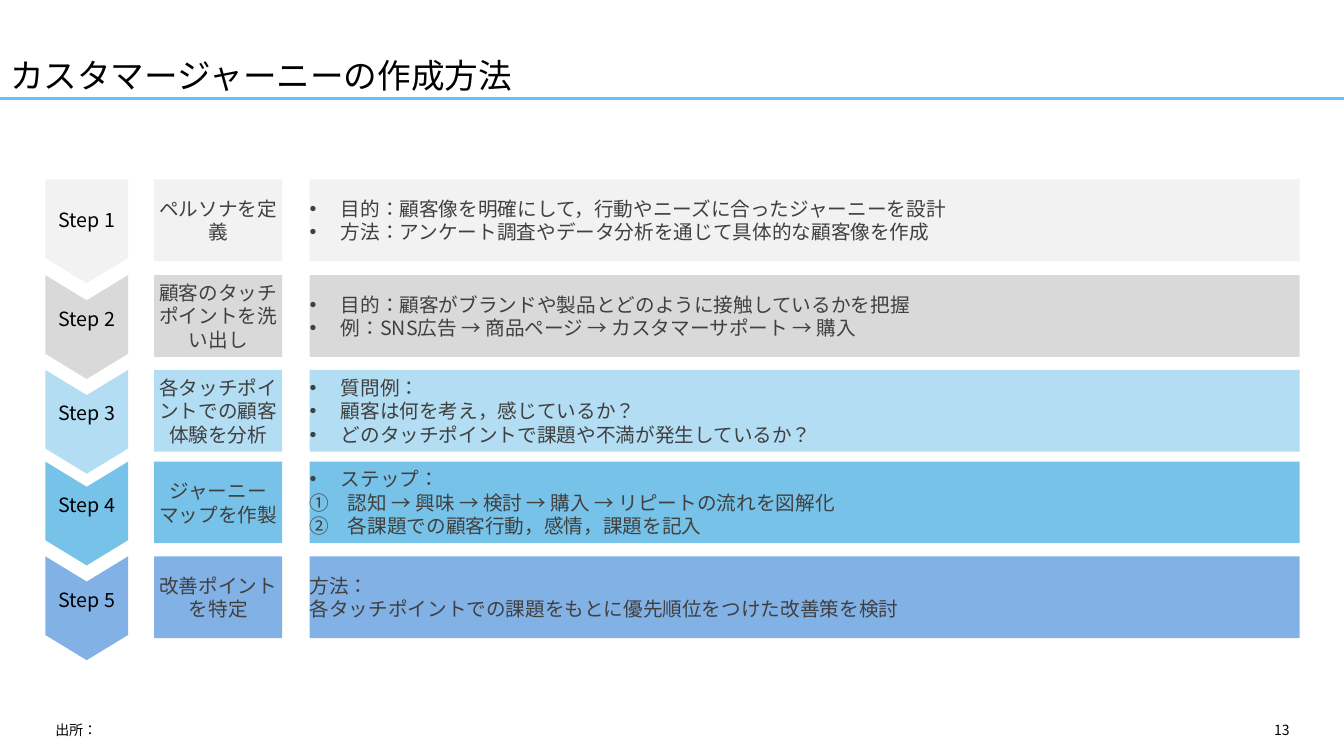
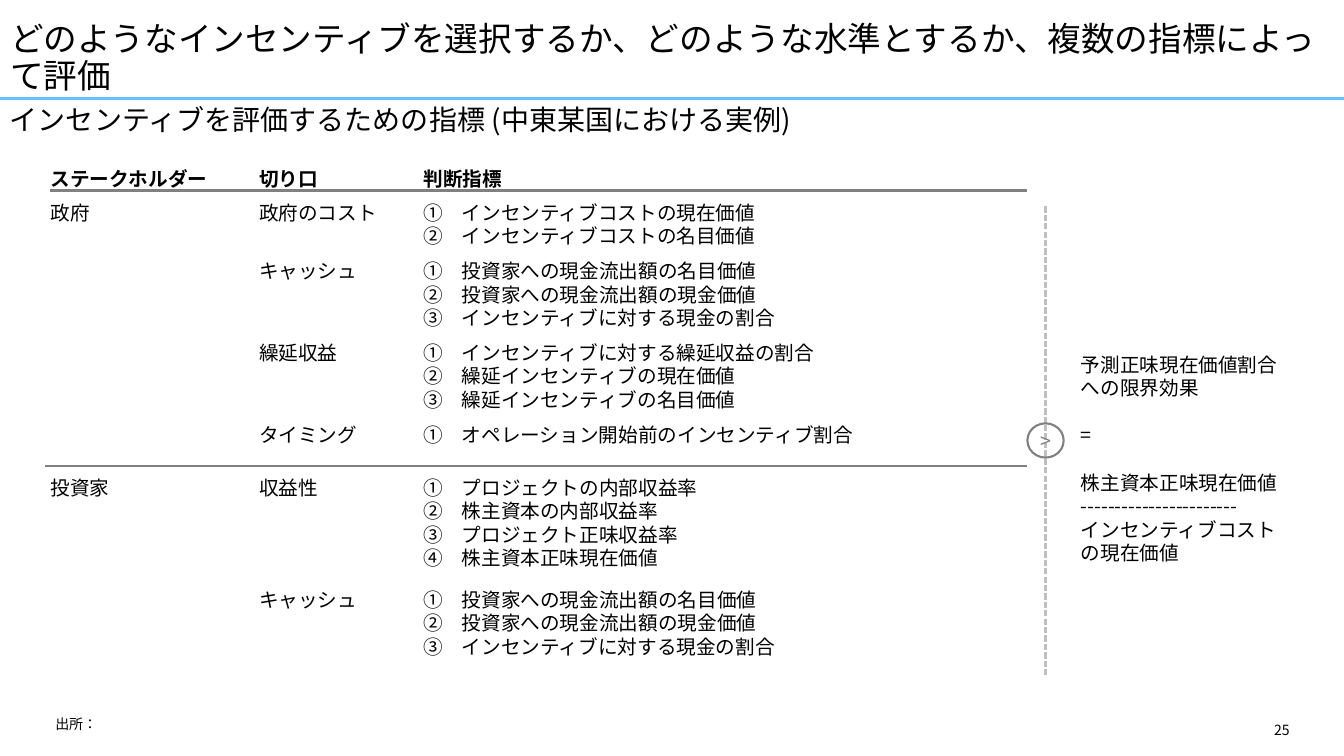
"""Builds two consulting slides: customer journey steps and incentive criteria."""
from dataclasses import dataclass
from typing import NamedTuple, Optional

from lxml import etree
from pptx import Presentation, util as u
from pptx.dml.color import RGBColor
from pptx.enum import dml, lang, shapes, text
from pptx.oxml.ns import qn

EMU_PER_PX = 9144


@dataclass(frozen=True)
class Theme:
    font: str = "Noto Sans CJK JP"
    ink: str = "000000"
    body_ink: str = "404040"
    accent: str = "63C1FF"
    rule: str = "808080"
    divider: str = "BFBFBF"
    title_size: int = 24
    subtitle_size: int = 20
    body_size: int = 14
    footer_size: int = 10
    line_pitch: float = 1.2
    heading_spacing: float = 0.9


THEME = Theme()
LEFT, CENTER, RIGHT = text.PP_ALIGN.LEFT, text.PP_ALIGN.CENTER, text.PP_ALIGN.RIGHT
TOP, MIDDLE, BOTTOM = text.MSO_ANCHOR.TOP, text.MSO_ANCHOR.MIDDLE, text.MSO_ANCHOR.BOTTOM
NO_INSET, DEFAULT_INSET = (0, 0), (10, 5)


class Box(NamedTuple):
    left: int
    top: int
    width: int
    height: int


class Marker(NamedTuple):
    tag: str
    attribute: str
    value: str
    indent: int


class Line(NamedTuple):
    words: str
    marker: Optional[Marker] = None
    before: float = 0


BULLET = Marker("a:buChar", "char", "•", 31)
CIRCLED = Marker("a:buAutoNum", "type", "circleNumDbPlain", 38)


class Step(NamedTuple):
    top: int
    color: str
    name: str
    details: list[Line]


class Criterion(NamedTuple):
    top: int
    stakeholder: str
    angle: str
    indicators: list[str]


def bulleted(*words: str) -> list[Line]:
    return [Line(item, BULLET) for item in words]


def numbered(*words: str) -> list[Line]:
    return [Line(item, CIRCLED) for item in words]


STEPS = [
    Step(178, "F2F2F2", "ペルソナを定義", bulleted(
        "目的：顧客像を明確にして，行動やニーズに合ったジャーニーを設計",
        "方法：アンケート調査やデータ分析を通じて具体的な顧客像を作成")),
    Step(273, "D9D9D9", "顧客のタッチポイントを洗い出し", bulleted(
        "目的：顧客がブランドや製品とどのように接触しているかを把握",
        "例：SNS広告 → 商品ページ → カスタマーサポート → 購入")),
    Step(367, "B3DDF2", "各タッチポイントでの顧客体験を分析", bulleted(
        "質問例：",
        "顧客は何を考え，感じているか？",
        "どのタッチポイントで課題や不満が発生しているか？")),
    Step(458, "77C2E8", "ジャーニーマップを作製", bulleted("ステップ：") + numbered(
        "認知 → 興味 → 検討 → 購入 → リピートの流れを図解化",
        "各課題での顧客行動，感情，課題を記入")),
    Step(552, "82B1E5", "改善ポイントを特定", [
        Line("方法："),
        Line("各タッチポイントでの課題をもとに優先順位をつけた改善策を検討")]),
]

CASH_INDICATORS = [
    "投資家への現金流出額の名目価値",
    "投資家への現金流出額の現金価値",
    "インセンティブに対する現金の割合",
]
CRITERIA = [
    Criterion(199, "政府", "政府のコスト",
              ["インセンティブコストの現在価値", "インセンティブコストの名目価値"]),
    Criterion(257, "", "キャッシュ", CASH_INDICATORS),
    Criterion(338, "", "繰延収益",
              ["インセンティブに対する繰延収益の割合",
               "繰延インセンティブの現在価値", "繰延インセンティブの名目価値"]),
    Criterion(420, "", "タイミング", ["オペレーション開始前のインセンティブ割合"]),
    Criterion(472, "投資家", "収益性",
              ["プロジェクトの内部収益率", "株主資本の内部収益率",
               "プロジェクト正味収益率", "株主資本正味現在価値"]),
    Criterion(583, "", "キャッシュ", CASH_INDICATORS),
]
COLUMNS = [("ステークホルダー", 50, 178), ("切り口", 257, 124), ("判断指標", 420, 472)]
BLANK_LINE = THEME.body_size * THEME.line_pitch
FORMULA = [
    Line("予測正味現在価値割合への限界効果"),
    Line("=", before=BLANK_LINE),
    Line("株主資本正味現在価値", before=BLANK_LINE),
    Line("-----------------------"),
    Line("インセンティブコストの現在価値"),
]


def px(length: int) -> u.Emu:
    return u.Emu(length * EMU_PER_PX)


def emu(box: Box) -> list[u.Emu]:
    return [px(length) for length in box]


def rgb(color: str) -> RGBColor:
    return RGBColor.from_string(color)


def add_marker(paragraph, marker: Marker) -> None:
    properties = paragraph._p.get_or_add_pPr()
    properties.set("marL", str(px(marker.indent)))
    properties.set("indent", str(-px(marker.indent)))
    if marker is BULLET:
        etree.SubElement(properties, qn("a:buFont")).set("typeface", "Arial")
    etree.SubElement(properties, qn(marker.tag)).set(marker.attribute, marker.value)


def write(frame, lines: list[Line], *, size: int = THEME.body_size,
          color: str = THEME.ink, bold: bool = False, align=LEFT, anchor=TOP,
          inset: tuple[int, int] = NO_INSET, spacing: float = 1.0) -> None:
    frame.word_wrap = True
    frame.auto_size = text.MSO_AUTO_SIZE.NONE
    frame.vertical_anchor = anchor
    frame.margin_left = frame.margin_right = px(inset[0])
    frame.margin_top = frame.margin_bottom = px(inset[1])
    for index, line in enumerate(lines):
        paragraph = frame.add_paragraph() if index else frame.paragraphs[0]
        if line.marker:
            add_marker(paragraph, line.marker)
        paragraph.alignment = align
        paragraph.line_spacing = u.Pt(size * THEME.line_pitch * spacing)
        paragraph.space_before = u.Pt(line.before)
        run = paragraph.add_run()
        run.text = line.words
        run.font.size = u.Pt(size)
        run.font.bold = bold
        run.font.color.rgb = rgb(color)
        run.font.language_id = lang.MSO_LANGUAGE_ID.JAPANESE
        run.font.name = THEME.font
        east_asian = etree.SubElement(run._r.get_or_add_rPr(), qn("a:ea"))
        east_asian.set("typeface", THEME.font)


def add_text(slide, box: Box, lines: list[Line], **style) -> None:
    write(slide.shapes.add_textbox(*emu(box)).text_frame, lines, **style)


def paint(shape, color: str) -> None:
    shape.shadow.inherit = False
    shape.fill.solid()
    shape.fill.fore_color.rgb = rgb(color)
    shape.line.fill.background()


def add_panel(slide, box: Box, color: str, lines: list[Line], align) -> None:
    panel = slide.shapes.add_shape(shapes.MSO_SHAPE.RECTANGLE, *emu(box))
    paint(panel, color)
    write(panel.text_frame, lines, color=THEME.body_ink, align=align, anchor=MIDDLE)


def add_rule(slide, start: tuple[int, int], end: tuple[int, int], color: str,
             width: float = 1.5, dash=None) -> None:
    rule = slide.shapes.add_connector(
        shapes.MSO_CONNECTOR.STRAIGHT, *map(px, start + end))
    rule.line.color.rgb = rgb(color)
    rule.line.width = u.Pt(width)
    if dash:
        rule.line.dash_style = dash
    etree.SubElement(rule._element.spPr, qn("a:effectLst"))


def add_arrow(slide, box: Box, color: str, notched: bool) -> None:
    tip = 25
    right, bottom = box.left + box.width, box.top + box.height
    middle = box.left + box.width // 2
    outline = [(right, box.top), (right, bottom - tip), (middle, bottom),
               (box.left, bottom - tip)]
    if notched:
        outline.insert(0, (middle, box.top + tip))
    builder = slide.shapes.build_freeform(px(box.left), px(box.top))
    builder.add_line_segments([(px(x), px(y)) for x, y in outline], close=True)
    paint(builder.convert_to_shape(), color)


def add_framed_slide(deck, title: str, number: str, source: Box):
    slide = deck.slides.add_slide(deck.slide_layouts[5])
    heading = slide.shapes.title
    heading.left, heading.top, heading.width, heading.height = emu(Box(0, 0, 1333, 99))
    write(heading.text_frame, [Line(title)], size=THEME.title_size, anchor=BOTTOM,
          inset=DEFAULT_INSET, spacing=THEME.heading_spacing)
    add_rule(slide, (0, 98), (1333, 98), THEME.accent, width=2.25)
    footers = [("出所：", source, LEFT), (number, Box(942, 711, 347, 24), RIGHT)]
    for words, box, align in footers:
        add_text(slide, box, [Line(words)], size=THEME.footer_size, align=align,
                 inset=DEFAULT_INSET)
    return slide


def build_journey(deck) -> None:
    slide = add_framed_slide(deck, "カスタマージャーニーの作成方法", "13",
                             Box(45, 711, 847, 24))
    for number, step in enumerate(STEPS, 1):
        notched = number > 1
        add_arrow(slide, Box(45, step.top, 82, 103), step.color, notched)
        add_text(slide, Box(45, step.top + (31 if notched else 28), 82, 24),
                 [Line(f"Step {number}")], align=CENTER)
        add_panel(slide, Box(153, step.top, 127, 81), step.color,
                  [Line(step.name)], CENTER)
        add_panel(slide, Box(307, step.top, 982, 81), step.color, step.details, LEFT)


def build_incentives(deck) -> None:
    slide = add_framed_slide(
        deck,
        "どのようなインセンティブを選択するか、どのような水準とするか、複数の指標によって評価",
        "25", Box(45, 705, 847, 40))
    add_text(slide, Box(0, 100, 1333, 55),
             [Line("インセンティブを評価するための指標 (中東某国における実例)")],
             size=THEME.subtitle_size, inset=DEFAULT_INSET,
             spacing=THEME.heading_spacing)
    for header, left, width in COLUMNS:
        add_text(slide, Box(left, 166, width, 24), [Line(header)], bold=True)
    for row in CRITERIA:
        cells = [[Line(row.stakeholder)], [Line(row.angle)], numbered(*row.indicators)]
        for (_, left, width), lines in zip(COLUMNS, cells):
            if lines[0].words:
                add_text(slide, Box(left, row.top, width, 24 * len(lines)), lines)
    add_rule(slide, (50, 189), (1019, 189), THEME.rule)
    add_rule(slide, (45, 462), (1019, 462), THEME.rule)
    add_rule(slide, (1037, 670), (1037, 203), THEME.divider,
             dash=dml.MSO_LINE.SQUARE_DOT)
    comparison = slide.shapes.add_shape(
        shapes.MSO_SHAPE.OVAL, *emu(Box(1019, 420, 36, 34)))
    comparison.shadow.inherit = False
    comparison.fill.background()
    comparison.line.color.rgb = rgb(THEME.rule)
    comparison.line.width = u.Pt(1.5)
    write(comparison.text_frame, [Line(">")], color=THEME.rule, align=CENTER,
          anchor=MIDDLE)
    add_text(slide, Box(1072, 350, 207, 236), FORMULA)


def main() -> None:
    deck = Presentation()
    deck.slide_width, deck.slide_height = px(1333), px(750)
    build_journey(deck)
    build_incentives(deck)
    deck.save("out.pptx")


if __name__ == "__main__":
    main()
